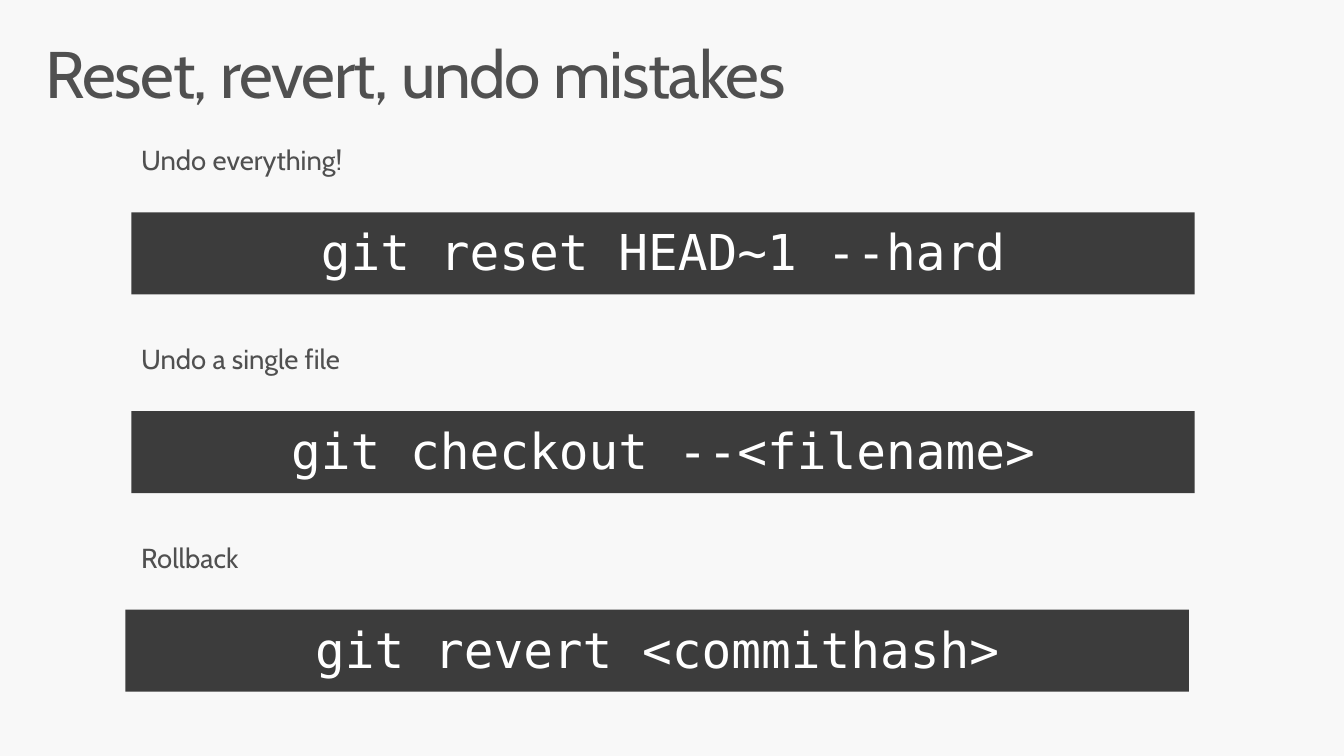
from dataclasses import dataclass

from pptx import Presentation
from pptx.dml.color import RGBColor
from pptx.enum.shapes import MSO_SHAPE
from pptx.enum.text import MSO_ANCHOR, MSO_AUTO_SIZE, PP_ALIGN
from pptx.util import Inches, Pt

RECTANGLE = MSO_SHAPE.RECTANGLE
TOP = MSO_ANCHOR.TOP
NO_FIT = MSO_AUTO_SIZE.NONE
GROW = MSO_AUTO_SIZE.SHAPE_TO_FIT_TEXT
LEFT, CENTER = PP_ALIGN.LEFT, PP_ALIGN.CENTER


@dataclass(frozen=True)
class Theme:
    background: RGBColor = RGBColor(0xF8, 0xF8, 0xF8)
    text: RGBColor = RGBColor(0x50, 0x50, 0x50)
    bar: RGBColor = RGBColor(0x3C, 0x3C, 0x3C)
    code: RGBColor = RGBColor(0xFF, 0xFF, 0xFF)
    text_font: str = "Cabin"
    code_font: str = "DejaVu Sans Mono"
    title_size: int = 48
    label_size: int = 20
    code_size: int = 36


class CommandSlide:
    """Build a titled slide of labels and command bars in one theme."""

    def __init__(self, presentation, theme):
        self.theme = theme
        self.slide = presentation.slides.add_slide(presentation.slide_layouts[5])
        fill = self.slide.background.fill
        fill.solid()
        fill.fore_color.rgb = theme.background

    def style_text(self, shape, text, font_name, size, color, spacing, insets,
                   align=LEFT, fit=NO_FIT):
        frame = shape.text_frame
        frame.text = text
        frame.word_wrap = True
        frame.auto_size = fit
        frame.vertical_anchor = TOP
        frame.margin_left = frame.margin_right = Inches(insets[0])
        frame.margin_top = frame.margin_bottom = Inches(insets[1])
        paragraph = frame.paragraphs[0]
        paragraph.alignment = align
        paragraph.line_spacing = spacing
        run = paragraph.runs[0]
        run.font.name = font_name
        run.font.size = Pt(size)
        run.font.color.rgb = color
        return run

    def title(self, text, left, top, width, height):
        shape = self.slide.shapes.title
        shape.left, shape.top = Inches(left), Inches(top)
        shape.width, shape.height = Inches(width), Inches(height)
        theme = self.theme
        run = self.style_text(shape, text, theme.text_font, theme.title_size,
                              theme.text, 0.9, (0.16, 0.1))
        run._r.get_or_add_rPr().set("spc", "-100")

    def label(self, text, left, top, width, height):
        box = self.slide.shapes.add_textbox(
            Inches(left), Inches(top), Inches(width), Inches(height))
        theme = self.theme
        self.style_text(box, text, theme.text_font, theme.label_size,
                        theme.text, 1.25, (0.1, 0.05), fit=GROW)

    def command_bar(self, text, left, top, width, height):
        bar = self.slide.shapes.add_shape(
            RECTANGLE, Inches(left), Inches(top), Inches(width), Inches(height))
        theme = self.theme
        bar.shadow.inherit = False
        bar.fill.solid()
        bar.fill.fore_color.rgb = theme.bar
        bar.line.fill.background()
        self.style_text(bar, text, theme.code_font, theme.code_size,
                        theme.code, 0.9, (0.2, 0.16), align=CENTER)


def main():
    presentation = Presentation()
    presentation.slide_width = Inches(13.6)
    presentation.slide_height = Inches(7.65)

    slide = CommandSlide(presentation, Theme())
    slide.title("Reset, revert, undo mistakes", 0.3, 0.32, 13, 1)

    commands = [
        ("Undo everything!", "git reset HEAD~1 --hard", 1.33),
        ("Undo a single file", "git checkout --<filename>", 1.33),
        ("Rollback", "git revert <commithash>", 1.27),
    ]
    first_top, row_pitch, bar_offset = 1.32, 2.01, 0.83
    for row, (label, command, bar_left) in enumerate(commands):
        top = first_top + row * row_pitch
        slide.command_bar(command, bar_left, top + bar_offset, 10.76, 0.83)
        slide.label(label, 1.33, top, 10.56, 0.48)

    presentation.save("out.pptx")


if __name__ == "__main__":
    main()
